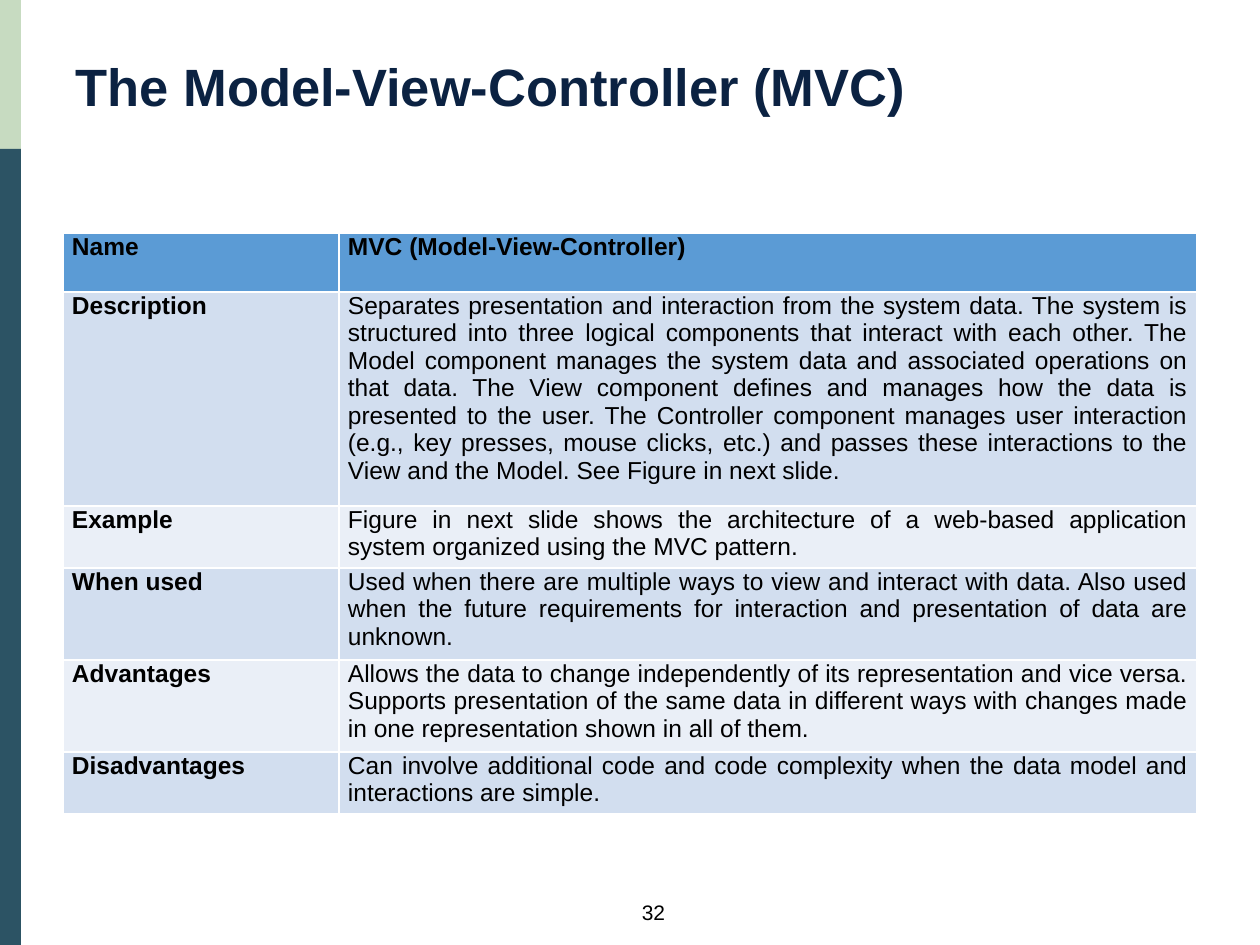
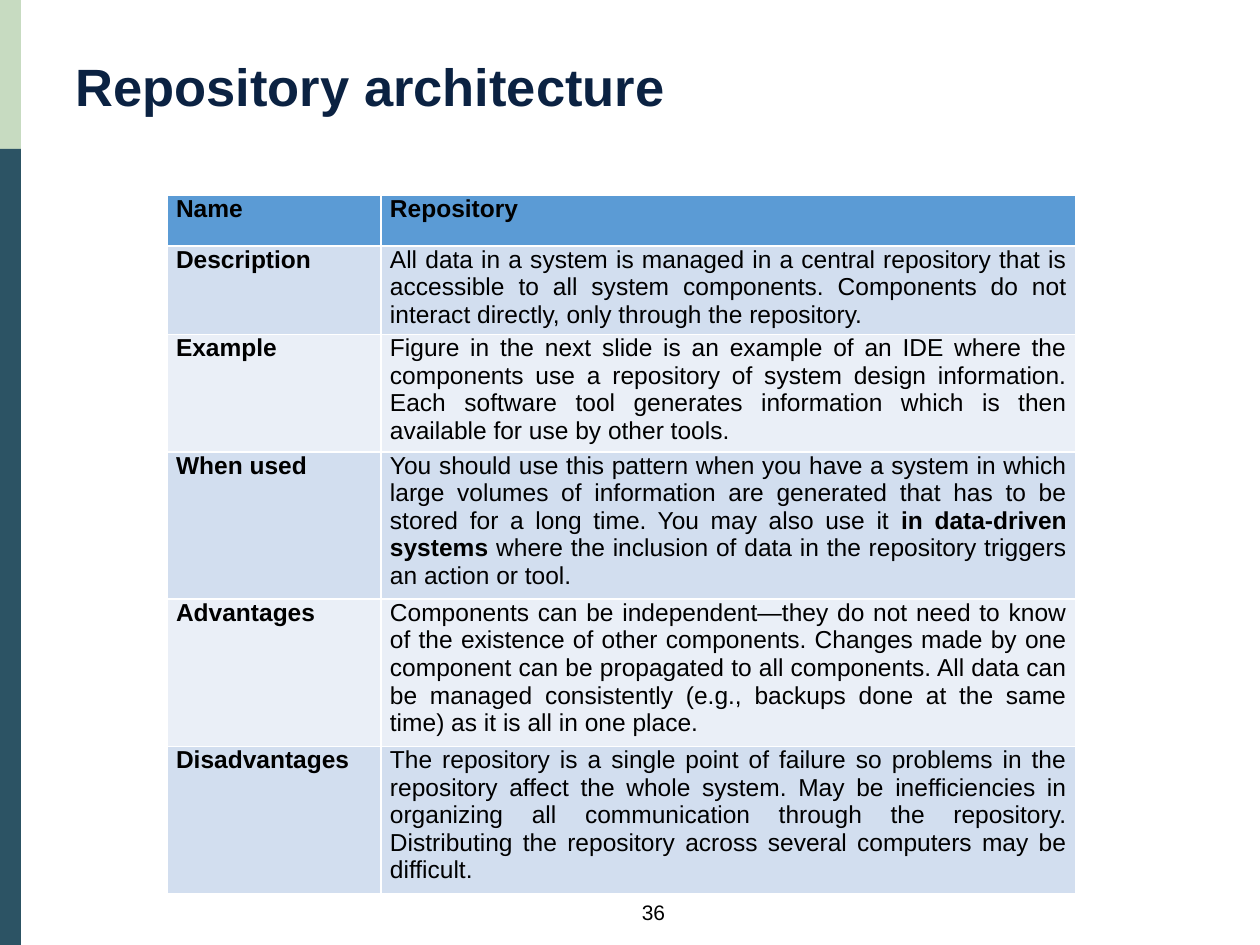
from dataclasses import dataclass

from lxml import etree
from pptx import Presentation
from pptx import util as u
from pptx.dml.color import RGBColor
from pptx.enum import shapes, text
from pptx.oxml import ns

PX_PER_INCH = 126
TITLE_ONLY = 5


def px(length):
    return round(length * u.Inches(1) / PX_PER_INCH)


@dataclass(frozen=True)
class Theme:
    font: str = "Arial"
    ink: str = "000000"
    title: str = "0B2242"
    upper_band: str = "C7DBC1"
    lower_band: str = "2C5364"
    header_row: str = "5B9BD5"
    odd_row: str = "D2DEEF"
    even_row: str = "EAEFF7"
    grid: str = "FFFFFF"
    title_size: int = 30
    table_size: int = 14
    number_size: int = 12


class Deck:
    """Holds the theme and the slide being built."""

    def __init__(self, theme):
        self.theme = theme
        self.prs = Presentation()
        self.prs.slide_width, self.prs.slide_height = u.Inches(10), u.Inches(7.5)
        self.slide = None

    def style(self, paragraph, size, color, bold=None):
        font = paragraph.font
        font.name, font.size, font.bold = self.theme.font, u.Pt(size), bold
        font.color.rgb = RGBColor.from_string(color)

    # Slide frame: title, side bands, page number
    def new_slide(self, heading, number):
        self.slide = self.prs.slides.add_slide(self.prs.slide_layouts[TITLE_ONLY])
        self.band(0, 149, self.theme.upper_band)
        self.band(149, 796, self.theme.lower_band)
        self.title(heading)
        self.page_number(number)

    def band(self, top, height, color):
        band = self.slide.shapes.add_shape(
            shapes.MSO_SHAPE.RECTANGLE, 0, px(top), px(21), px(height))
        band.shadow.inherit = False
        band.fill.solid()
        band.fill.fore_color.rgb = RGBColor.from_string(color)
        band.line.fill.background()

    def title(self, heading):
        title = self.slide.shapes.title
        title.left, title.top, title.width, title.height = map(px, (63, 58, 1053, 86))
        frame = title.text_frame
        frame.text = heading
        frame.vertical_anchor = text.MSO_ANCHOR.TOP
        frame.auto_size = text.MSO_AUTO_SIZE.NONE
        line = frame.paragraphs[0]
        line.alignment = text.PP_ALIGN.LEFT
        line.line_spacing = u.Pt(30)
        self.style(line, self.theme.title_size, self.theme.title, True)

    def page_number(self, number):
        box = self.slide.shapes.add_textbox(*map(px, (557, 893, 193, 38)))
        box.text_frame.word_wrap = True
        line = box.text_frame.paragraphs[0]
        line.text = str(number)
        line.alignment = text.PP_ALIGN.CENTER
        self.style(line, self.theme.number_size, self.theme.ink)

    # Pattern table: bold labels on the left, justified text on the right
    def pattern_table(self, left, top, widths, heights, entries):
        frame = self.slide.shapes.add_table(
            len(entries), len(widths), px(left), px(top),
            px(sum(widths)), px(sum(heights)))
        table = frame.table
        for column, width in zip(table.columns, widths):
            column.width = px(width)
        for row, height in zip(table.rows, heights):
            row.height = px(height)
        for i, (label, content) in enumerate(entries):
            header = i == 0
            if header:
                fill = self.theme.header_row
            else:
                fill = self.theme.odd_row if i % 2 else self.theme.even_row
            self.cell(table.cell(i, 0), label, fill, True)
            self.cell(table.cell(i, 1), content, fill, header)

    def cell(self, cell, content, fill, bold):
        cell.margin_left = cell.margin_right = px(9)
        cell.margin_top = cell.margin_bottom = 0
        self.borders(cell)
        cell.fill.solid()
        cell.fill.fore_color.rgb = RGBColor.from_string(fill)
        line = cell.text_frame.paragraphs[0]
        line.alignment = text.PP_ALIGN.JUSTIFY
        self.style(line, self.theme.table_size, self.theme.ink, bold)
        # Text between ** marks is bold
        for i, part in enumerate(content.split("**")):
            run = line.add_run()
            run.text = part
            run.font.bold = bold or i % 2 == 1

    def borders(self, cell):
        properties = cell._tc.get_or_add_tcPr()
        for side in "LRTB":
            edge = etree.SubElement(
                properties, ns.qn(f"a:ln{side}"), w=str(u.Pt(1)))
            solid = etree.SubElement(edge, ns.qn("a:solidFill"))
            etree.SubElement(solid, ns.qn("a:srgbClr"), val=self.theme.grid)


MVC = [
    ("Name", "MVC (Model-View-Controller)"),
    ("Description",
     "Separates presentation and interaction from the system data. The system is "
     "structured into three logical components that interact with each other. The "
     "Model component manages the system data and associated operations on that "
     "data. The View component defines and manages how the data is presented to "
     "the user. The Controller component manages user interaction (e.g., key "
     "presses, mouse clicks, etc.) and passes these interactions to the View and "
     "the Model. See Figure in next slide."),
    ("Example",
     "Figure in next slide shows the architecture of a web-based application "
     "system organized using the MVC pattern."),
    ("When used",
     "Used when there are multiple ways to view and interact with data. Also used "
     "when the future requirements for interaction and presentation of data are "
     "unknown."),
    ("Advantages",
     "Allows the data to change independently of its representation and vice "
     "versa. Supports presentation of the same data in different ways with changes "
     "made in one representation shown in all of them."),
    ("Disadvantages",
     "Can involve additional code and code complexity when the data model and "
     "interactions are simple."),
]

REPOSITORY = [
    ("Name", "Repository"),
    ("Description",
     "All data in a system is managed in a central repository that is accessible "
     "to all system components. Components do not interact directly, only through "
     "the repository."),
    ("Example",
     "Figure in the next slide is an example of an IDE where the components use a "
     "repository of system design information. Each software tool generates "
     "information which is then available for use by other tools."),
    ("When used",
     "You should use this pattern when you have a system in which large volumes of "
     "information are generated that has to be stored for a long time. You may "
     "also use it **in data-driven systems** where the inclusion of data in the "
     "repository triggers an action or tool."),
    ("Advantages",
     "Components can be independent—they do not need to know of the existence of "
     "other components. Changes made by one component can be propagated to all "
     "components. All data can be managed consistently (e.g., backups done at the "
     "same time) as it is all in one place."),
    ("Disadvantages",
     "The repository is a single point of failure so problems in the repository "
     "affect the whole system. May be inefficiencies in organizing all "
     "communication through the repository. Distributing the repository across "
     "several computers may be difficult."),
]


def main():
    deck = Deck(Theme())

    # Model-View-Controller
    deck.new_slide("The Model-View-Controller (MVC)", 32)
    deck.pattern_table(63, 233, (276, 858), (59, 214, 62, 92, 92, 62), MVC)

    # Repository: rows start equal and grow with their text
    deck.new_slide("Repository architecture", 36)
    deck.pattern_table(167, 195, (214, 695), [51] * len(REPOSITORY), REPOSITORY)

    deck.prs.save("out.pptx")


if __name__ == "__main__":
    main()
